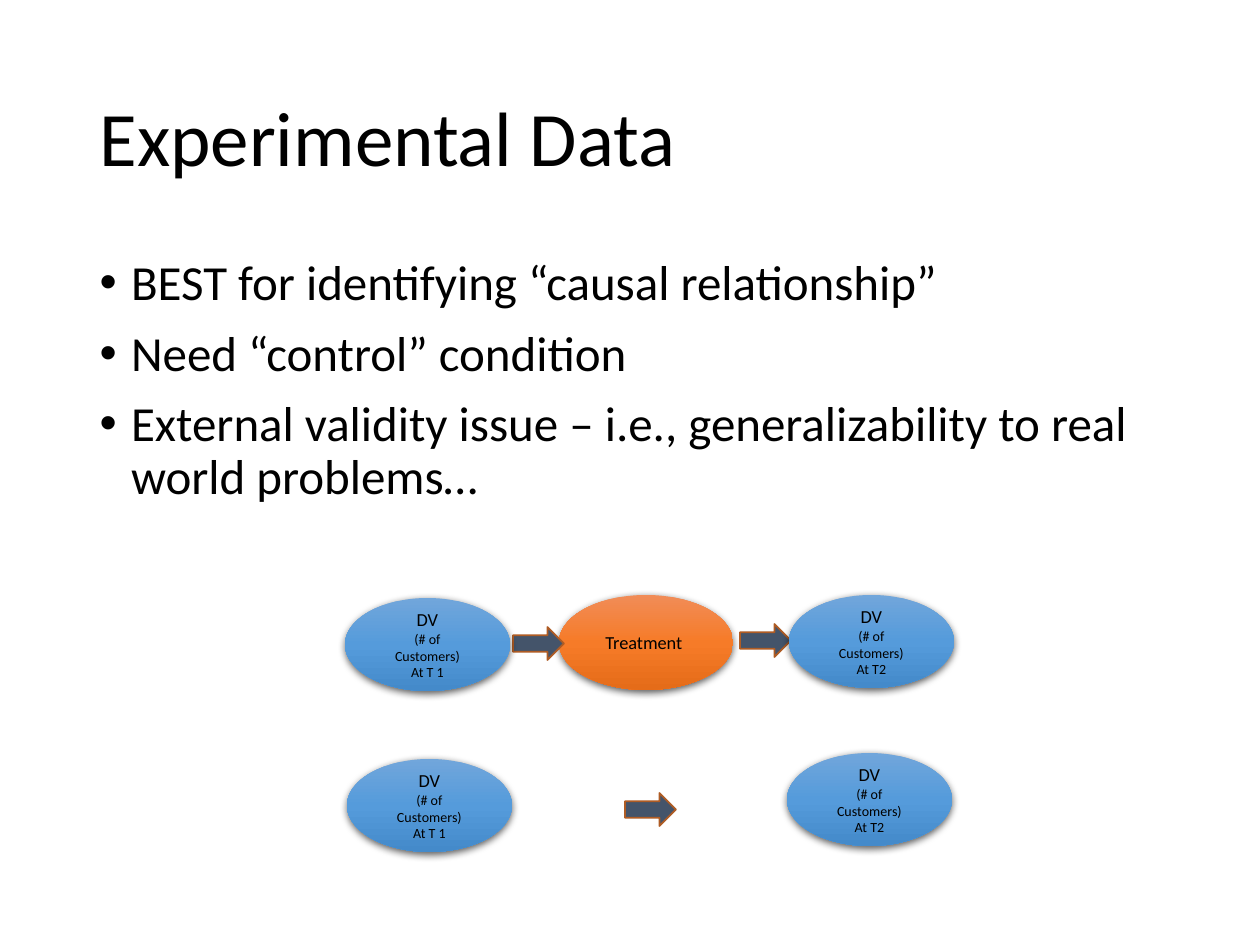
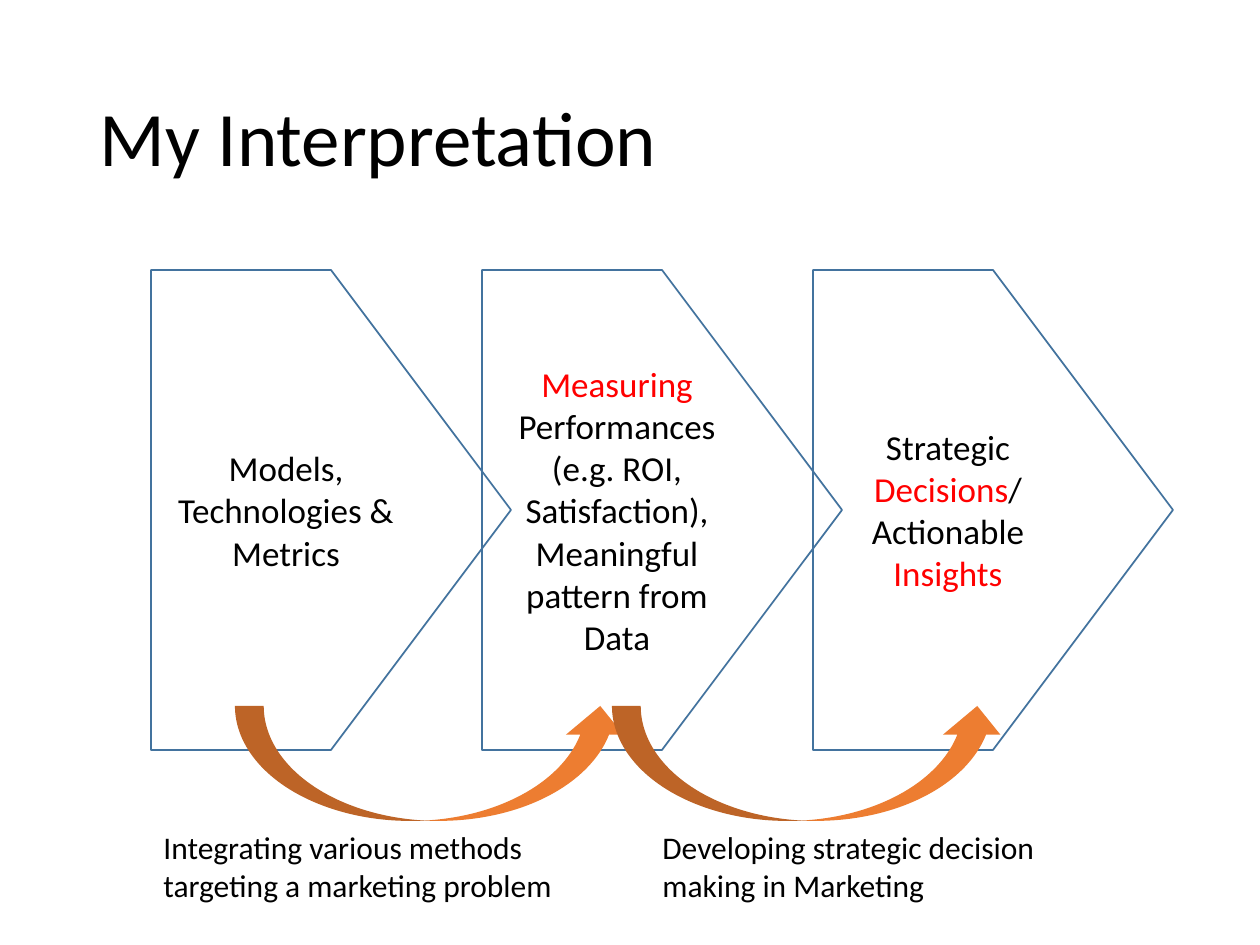
import copy

import pptx
import pptx.util
import pptx.dml.color
import pptx.enum.shapes
import pptx.enum.text
import pptx.oxml
import pptx.oxml.ns

PX = 914400 / 126
FONT = "Calibri"
BLACK, RED = "000000", "FF0000"
BLUE_GRADIENT = ("71A6DB", "559BDB", "448ACA")
ORANGE_GRADIENT = ("F18C57", "F67B28", "E56C19")
ARROW_FILL, ARROW_LINE = "44546A", "AF5C24"
PLATE_LINE, CURVE_FILL = "43739E", "ED7D31"
TITLE_BOX = (87, 50, 1086, 183)
BODY_BOX = (87, 252, 1086, 600)

SHAPE = pptx.enum.shapes.MSO_SHAPE
ALIGN = pptx.enum.text.PP_ALIGN
ANCHOR = pptx.enum.text.MSO_ANCHOR
AUTO = pptx.enum.text.MSO_AUTO_SIZE
qn = pptx.oxml.ns.qn


def px(n):
    return pptx.util.Emu(round(n * PX))


def rgb(color):
    return pptx.dml.color.RGBColor.from_string(color)


def place(sp, box):
    sp.left, sp.top, sp.width, sp.height = map(px, box)


def format_runs(p, size, color=BLACK):
    for r in p.runs:
        r.font.name = FONT
        r.font.size = pptx.util.Pt(size)
        r.font.color.rgb = rgb(color)


def add_shape(s, kind, box, fill=None, line=None):
    sp = s.shapes.add_shape(kind, *map(px, box))
    sp.shadow.inherit = False
    if fill:
        sp.fill.solid()
        sp.fill.fore_color.rgb = rgb(fill)
    else:
        sp.fill.background()
    if line:
        sp.line.color.rgb = rgb(line)
        sp.line.width = pptx.util.Pt(1)
    else:
        sp.line.fill.background()
    sp.text_frame.vertical_anchor = ANCHOR.MIDDLE
    return sp


def add_title(s, text):
    sp = s.shapes.title
    place(sp, TITLE_BOX)
    tf = sp.text_frame
    tf.text = text
    tf.auto_size = AUTO.NONE
    tf.vertical_anchor = ANCHOR.MIDDLE
    p = tf.paragraphs[0]
    p.alignment = ALIGN.LEFT
    p.line_spacing = 0.9
    format_runs(p, 44)


def add_bullets(s, lines):
    sp = s.placeholders[1]
    place(sp, BODY_BOX)
    tf = sp.text_frame
    tf.text = "\n".join(lines)
    tf.auto_size = AUTO.NONE
    for p in tf.paragraphs:
        p.line_spacing = 0.9
        p.space_before = pptx.util.Pt(10)
        format_runs(p, 28)
        pPr = p._p.get_or_add_pPr()
        pPr.set("marL", "228600")
        pPr.set("indent", "-228600")
        ns = pptx.oxml.ns.nsdecls("a")
        pPr.append(pptx.oxml.parse_xml(f'<a:buFont {ns} typeface="Arial"/>'))
        pPr.append(pptx.oxml.parse_xml(f'<a:buChar {ns} char="•"/>'))


def add_oval(s, box, colors, lines):
    """Shaded oval with a larger first line."""
    sp = add_shape(s, SHAPE.OVAL, box)
    # Three-stop vertical gradient
    sp.fill.gradient()
    sp.fill.gradient_angle = 270
    stops = sp._element.spPr.find(qn("a:gradFill")).find(qn("a:gsLst"))
    stops.insert(1, copy.deepcopy(stops[0]))
    for i, (stop, color) in enumerate(zip(sp.fill.gradient_stops, colors)):
        stop.position = i / 2
        stop.color.rgb = rgb(color)
    # Soft shadow below
    sp._element.spPr.find(qn("a:effectLst")).append(pptx.oxml.parse_xml(
        f'<a:outerShdw {pptx.oxml.ns.nsdecls("a")} blurRad="57150" dist="19050"'
        ' dir="5400000" algn="ctr" rotWithShape="0"><a:srgbClr val="000000">'
        '<a:alpha val="63000"/></a:srgbClr></a:outerShdw>'))
    tf = sp.text_frame
    tf.text = "\n".join(lines)
    for i, p in enumerate(tf.paragraphs):
        p.alignment = ALIGN.CENTER
        format_runs(p, 8 if i else 10.5)


def add_experiment(s, left, top):
    """Treatment row above, control row below."""
    def measure(x, y, time):
        add_oval(s, (left + x, top + y, 165, 93), BLUE_GRADIENT,
                 ("DV", "(# of Customers)", time))

    def arrow(x, y):
        add_shape(s, SHAPE.RIGHT_ARROW, (left + x, top + y, 51, 33),
                  ARROW_FILL, ARROW_LINE)

    # Treatment row
    add_oval(s, (left + 214, top, 174, 95), ORANGE_GRADIENT, ("Treatment ",))
    arrow(168, 32)
    measure(0, 3, "At T 1")
    arrow(395, 29)
    measure(444, 0, "At T2")
    # Control row
    measure(2, 164, "At T 1")
    arrow(280, 198)
    measure(442, 158, "At T2")


def add_stages(s, left, top, stages):
    """Row of evenly spaced, overlapping pentagons."""
    for i, parts in enumerate(stages):
        sp = add_shape(s, SHAPE.PENTAGON, (left + i * 331, top, 360, 480),
                       line=PLATE_LINE)
        p = sp.text_frame.paragraphs[0]
        p.alignment = ALIGN.CENTER
        for text, _ in parts:
            p.add_run().text = text
        format_runs(p, 20)
        for r, (_, color) in zip(p.runs, parts):
            r.font.color.rgb = rgb(color)


def add_step(s, arrow_left, note_left, top, text):
    """Curved arrow with its caption underneath."""
    add_shape(s, SHAPE.CURVED_UP_ARROW, (arrow_left, top, 394, 115), CURVE_FILL)
    tb = s.shapes.add_textbox(*map(px, (note_left, top + 116, 475, 89)))
    tf = tb.text_frame
    tf.word_wrap = True
    tf.auto_size = AUTO.SHAPE_TO_FIT_TEXT
    tf.text = text
    format_runs(tf.paragraphs[0], 18)


def experimental_data(prs):
    s = prs.slides.add_slide(prs.slide_layouts[1])
    add_title(s, "Experimental Data")
    add_bullets(s, (
        "BEST for identifying “causal relationship”",
        "Need “control” condition",
        "External validity issue – i.e., generalizability to real world problems…",
    ))
    add_experiment(s, 345, 595)


def my_interpretation(prs):
    s = prs.slides.add_slide(prs.slide_layouts[5])
    add_title(s, "My Interpretation")
    add_stages(s, 151, 270, (
        (("Models, Technologies & Metrics", BLACK),),
        (("Measuring ", RED),
         ("Performances (e.g. ROI, Satisfaction), Meaningful pattern from Data", BLACK)),
        (("Strategic ", BLACK), ("Decisions", RED),
         ("/ Actionable ", BLACK), ("Insights", RED)),
    ))
    add_step(s, 235, 151, 706,
             "Integrating various methods targeting a marketing problem")
    add_step(s, 612, 650, 706,
             "Developing strategic decision making in Marketing")


def main():
    prs = pptx.Presentation()
    prs.slide_width, prs.slide_height = px(1260), px(945)
    experimental_data(prs)
    my_interpretation(prs)
    prs.save("out.pptx")


if __name__ == "__main__":
    main()
